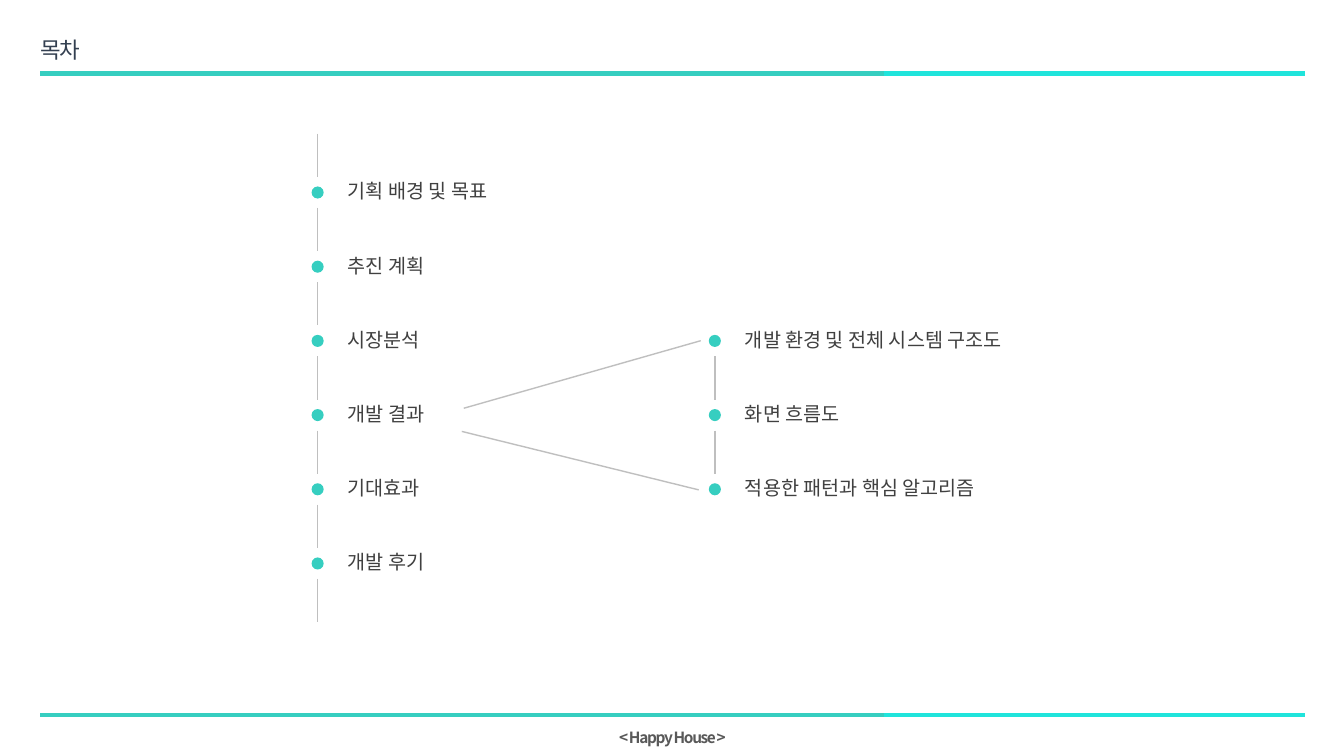
from lxml import etree
from pptx import Presentation
from pptx.dml.color import RGBColor
from pptx.enum.shapes import MSO_CONNECTOR, MSO_SHAPE
from pptx.enum.text import MSO_ANCHOR, MSO_AUTO_SIZE, PP_ALIGN
from pptx.oxml.ns import qn
from pptx.util import Inches, Pt

STRAIGHT = MSO_CONNECTOR.STRAIGHT
OVAL = MSO_SHAPE.OVAL
TOP = MSO_ANCHOR.TOP
NO_FIT = MSO_AUTO_SIZE.NONE
LEFT, CENTER = PP_ALIGN.LEFT, PP_ALIGN.CENTER
FONT = "Noto Sans CJK KR"
TEAL, CYAN, GRAY = "36CEC0", "20E4DB", "BFBFBF"
NAVY, INK, FOOTER_GRAY = "333F50", "404040", "595959"

WIDTH, HEIGHT = 13.33, 7.5
RULE_START, RULE_SPLIT, RULE_END = 0.4, 8.77, 12.94
MAIN_X, DETAIL_X = 3.15, 7.09
FIRST_ROW, PITCH = 1.91, 0.736
DOT, SEGMENT = 0.12, 0.43
LABEL_GAP, LABEL_HEIGHT = 0.2, 0.34

CHAPTERS = ["기획 배경 및 목표", "추진 계획", "시장분석", "개발 결과", "기대효과", "개발 후기"]
DETAILS = ["개발 환경 및 전체 시스템 구조도", "화면 흐름도", "적용한 패턴과 핵심 알고리즘"]
DETAIL_ROW = 2


def color(hex_code):
    """Turn a hex string into a colour."""
    return RGBColor.from_string(hex_code)


def row_y(row):
    """Return the height of the centre of a timeline row."""
    return FIRST_ROW + row * PITCH


def place(shape, left, top, width, height):
    """Position a shape in inches."""
    shape.left, shape.top = Inches(left), Inches(top)
    shape.width, shape.height = Inches(width), Inches(height)


def write(box, text, size, hex_code, align=LEFT, bold=False, spacing=0):
    """Fill a text shape with one formatted paragraph."""
    frame = box.text_frame
    frame.word_wrap = True
    frame.auto_size = NO_FIT
    frame.vertical_anchor = TOP
    paragraph = frame.paragraphs[0]
    paragraph.text = text
    paragraph.alignment = align
    paragraph.line_spacing = 1.0
    font = paragraph.font
    font.name, font.size, font.bold = FONT, Pt(size), bold
    font.color.rgb = color(hex_code)
    properties = paragraph._p.pPr.find(qn("a:defRPr"))
    properties.set("spc", str(spacing))
    etree.SubElement(properties, qn("a:ea")).set("typeface", FONT)


def add_label(page, text, left, top, width, height, *style, **options):
    """Add a text box with one paragraph."""
    box = page.shapes.add_textbox(0, 0, 0, 0)
    place(box, left, top, width, height)
    write(box, text, *style, **options)


def add_line(page, start, end, hex_code=GRAY, weight=1):
    """Draw a straight line between two points."""
    line = page.shapes.add_connector(STRAIGHT, *map(Inches, start + end))
    line.line.color.rgb = color(hex_code)
    line.line.width = Pt(weight)
    etree.SubElement(line._element.spPr, qn("a:effectLst"))


def add_rule(page, y):
    """Draw the two-tone rule across the page."""
    add_line(page, (RULE_START, y), (RULE_SPLIT, y), TEAL, 3)
    add_line(page, (RULE_SPLIT, y), (RULE_END, y), CYAN, 3)


def add_dot(page, x, y):
    """Draw a timeline dot around its centre."""
    dot = page.shapes.add_shape(OVAL, 0, 0, 0, 0)
    place(dot, x - DOT / 2, y - DOT / 2, DOT, DOT)
    dot.shadow.inherit = False
    dot.fill.solid()
    dot.fill.fore_color.rgb = color(TEAL)
    dot.line.fill.background()


def add_timeline(page, x, labels, first_row, label_width, open_ends):
    """Draw dots with labels and the line segments between them."""
    last_row = first_row + len(labels) - 1
    for row, text in enumerate(labels, first_row):
        add_dot(page, x, row_y(row))
        add_label(page, text, x + LABEL_GAP, row_y(row) - 0.18,
                  label_width, LABEL_HEIGHT, 14, INK)
    for row in range(first_row - open_ends, last_row + open_ends):
        middle = row_y(row + 0.5)
        add_line(page, (x, middle - SEGMENT / 2), (x, middle + SEGMENT / 2))


def main():
    """Build the contents slide."""
    deck = Presentation()
    deck.slide_width, deck.slide_height = Inches(WIDTH), Inches(HEIGHT)
    page = deck.slides.add_slide(deck.slide_layouts[5])
    title = page.shapes.title
    place(title, 0.3, 0.31, 5.17, 0.37)
    write(title, "목차", 16, NAVY, spacing=-100)
    add_rule(page, 0.73)
    add_rule(page, 7.09)
    add_label(page, "< Happy House >", 4.85, 7.17, 3.64, 0.29, 11, FOOTER_GRAY,
              align=CENTER, bold=True, spacing=-100)
    add_timeline(page, MAIN_X, CHAPTERS, 0, 2.12, open_ends=1)
    add_timeline(page, DETAIL_X, DETAILS, DETAIL_ROW, 3.38, open_ends=0)
    add_line(page, (4.6, 4.05), (6.95, 3.38))
    add_line(page, (4.58, 4.28), (6.93, 4.86))
    deck.save("out.pptx")


if __name__ == "__main__":
    main()
